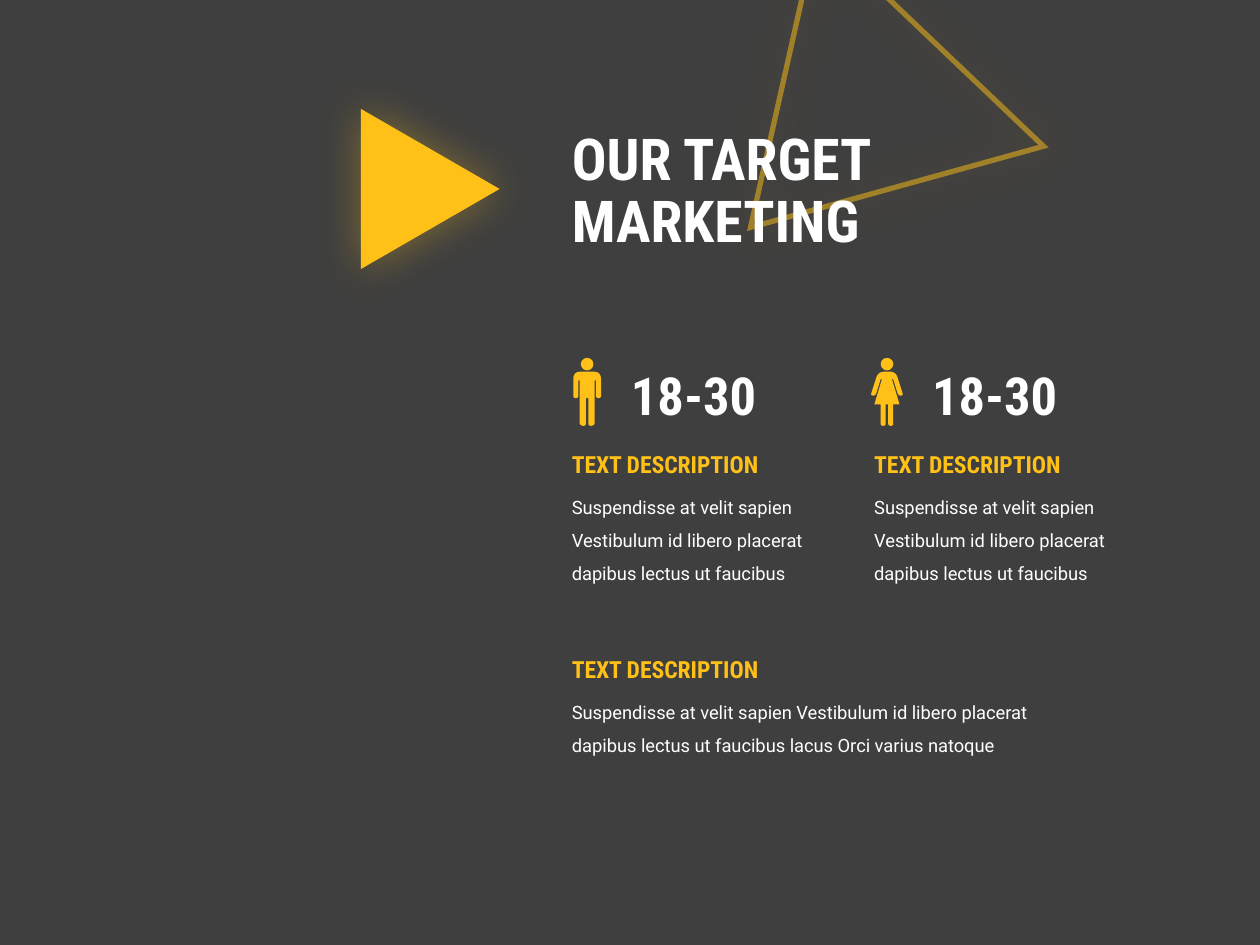
import dataclasses
import typing

import lxml.etree
import pptx
import pptx.dml.color
import pptx.enum.shapes
import pptx.enum.text
import pptx.oxml.ns
import pptx.util

Inches = pptx.util.Inches
Pt = pptx.util.Pt
qn = pptx.oxml.ns.qn
MSO_SHAPE = pptx.enum.shapes.MSO_SHAPE

COLOURS = {"background": "3F3F3F", "accent": "FFC118", "text": "FFFFFF"}
HEADING_FONT = "Roboto Condensed"
BODY_FONT = "Roboto"
CURVE_STEPS = 6
BODY_TEXT = "Suspendisse at velit sapien Vestibulum id libero placerat dapibus lectus ut faucibus"


class Corner(typing.NamedTuple):
    x: float
    y: float
    radius: float = 0


@dataclasses.dataclass(frozen=True)
class TextStyle:
    size: float
    font: str
    colour: str
    bold: bool = True
    line_spacing: float | None = None


@dataclasses.dataclass(frozen=True)
class Person:
    left: float
    icon_centre: float
    age_left: float
    half_body: tuple[Corner, ...]


TITLE = TextStyle(33, HEADING_FONT, "text", line_spacing=0.9)
AGE = TextStyle(30, HEADING_FONT, "text")
SUBHEADING = TextStyle(13.5, HEADING_FONT, "accent")
BODY = TextStyle(10.5, BODY_FONT, "text", bold=False, line_spacing=1.5)

MAN = (
    Corner(0.11, 0, 0.06), Corner(0.11, 0.21, 0.02), Corner(0.07, 0.21, 0.02),
    Corner(0.07, 0.07), Corner(0.06, 0.07), Corner(0.06, 0.43, 0.03),
    Corner(0.01, 0.43, 0.02), Corner(0.01, 0.21),
)
WOMAN = (
    Corner(0.07, 0, 0.05), Corner(0.13, 0.19, 0.02), Corner(0.09, 0.19, 0.02),
    Corner(0.05, 0.06), Corner(0.04, 0.06), Corner(0.1, 0.26),
    Corner(0.05, 0.26), Corner(0.05, 0.43, 0.02), Corner(0.01, 0.43, 0.02),
    Corner(0.01, 0.26),
)
PEOPLE = (
    Person(4.44, 4.66, 4.91, MAN),
    Person(6.84, 7.04, 7.3, WOMAN),
)


def rgb(name: str) -> pptx.dml.color.RGBColor:
    """Return the named colour."""
    return pptx.dml.color.RGBColor.from_string(COLOURS[name])


def fill_plain(shape) -> None:
    """Fill a shape with the accent colour, without line or shadow."""
    shape.shadow.inherit = False
    shape.fill.solid()
    shape.fill.fore_color.rgb = rgb("accent")
    shape.line.fill.background()


def add_alpha(colour_element, percent: int) -> None:
    """Make a colour element partly transparent."""
    lxml.etree.SubElement(colour_element, qn("a:alpha"), val=str(percent * 1000))


def add_glow(shape) -> None:
    """Give a shape a soft accent shadow on all sides."""
    effects = shape._element.spPr.find(qn("a:effectLst"))
    shadow = lxml.etree.SubElement(
        effects, qn("a:outerShdw"), blurRad=str(Pt(25)), dist="0", dir="0",
        algn="ctr", rotWithShape="0",
    )
    colour = lxml.etree.SubElement(shadow, qn("a:srgbClr"), val=COLOURS["accent"])
    add_alpha(colour, 35)


def add_triangle(slide, left: float, top: float, width: float, height: float,
                 rotation: float, outlined: bool = False) -> None:
    """Draw a glowing triangle, solid or outlined."""
    shape = slide.shapes.add_shape(
        MSO_SHAPE.ISOSCELES_TRIANGLE, Inches(left), Inches(top), Inches(width), Inches(height))
    shape.rotation = rotation
    fill_plain(shape)
    if outlined:
        shape.fill.background()
        shape.line.width = Pt(3)
        shape.line.color.rgb = rgb("accent")
        line = shape._element.spPr.find(qn("a:ln"))
        add_alpha(line.find(".//" + qn("a:srgbClr")), 50)
        lxml.etree.SubElement(line, qn("a:miter"), lim="800000")
    add_glow(shape)


def add_text(slide, left: float, top: float, width: float, height: float,
             lines: tuple[str, ...], style: TextStyle, grow: bool = True) -> None:
    """Add a wrapped text box holding one paragraph."""
    box = slide.shapes.add_textbox(Inches(left), Inches(top), Inches(width), Inches(height))
    frame = box.text_frame
    frame.word_wrap = True
    if grow:
        frame.auto_size = pptx.enum.text.MSO_AUTO_SIZE.SHAPE_TO_FIT_TEXT
    else:
        frame.vertical_anchor = pptx.enum.text.MSO_ANCHOR.MIDDLE
    paragraph = frame.paragraphs[0]
    if style.line_spacing:
        paragraph.line_spacing = style.line_spacing
    for index, line in enumerate(lines):
        if index:
            paragraph.add_line_break()
        run = paragraph.add_run()
        run.text = line
        run.font.size = Pt(style.size)
        run.font.name = style.font
        run.font.bold = style.bold
        run.font.color.rgb = rgb(style.colour)


def toward(start: Corner, end: Corner, distance: float) -> tuple[float, float]:
    """Return the point at a distance from start in the direction of end."""
    length = ((end.x - start.x) ** 2 + (end.y - start.y) ** 2) ** 0.5
    share = distance / length
    return start.x + (end.x - start.x) * share, start.y + (end.y - start.y) * share


def round_corners(corners: list[Corner]) -> list[tuple[float, float]]:
    """Turn corners into outline points, with curves where a radius is set."""
    points = []
    for index, corner in enumerate(corners):
        if not corner.radius:
            points.append((corner.x, corner.y))
            continue
        start = toward(corner, corners[index - 1], corner.radius)
        end = toward(corner, corners[(index + 1) % len(corners)], corner.radius)
        for step in range(CURVE_STEPS + 1):
            t = step / CURVE_STEPS
            points.append(tuple(
                (1 - t) ** 2 * a + 2 * t * (1 - t) * b + t ** 2 * c
                for a, b, c in zip(start, (corner.x, corner.y), end)))
    return points


def add_icon(slide, centre: float, half_body: tuple[Corner, ...]) -> None:
    """Draw a figure as a grouped head and mirrored body."""
    group = slide.shapes.add_group_shape()
    head = group.shapes.add_shape(
        MSO_SHAPE.OVAL, Inches(centre - 0.05), Inches(2.84), Inches(0.1), Inches(0.1))
    mirrored = [corner._replace(x=-corner.x) for corner in reversed(half_body)]
    points = [(Inches(centre + x), Inches(2.95 + y))
              for x, y in round_corners([*half_body, *mirrored])]
    builder = group.shapes.build_freeform(*points[0])
    builder.add_line_segments(points[1:], close=True)
    body = builder.convert_to_shape()
    for shape in (head, body):
        fill_plain(shape)


def add_description(slide, left: float, top: float, width: float, height: float,
                    text: str) -> None:
    """Add a subheading with its body text below."""
    add_text(slide, left, top + 0.28, width, height, (text,), BODY)
    add_text(slide, left, top, 1.84, 0.33, ("TEXT DESCRIPTION",), SUBHEADING)


def main() -> None:
    """Build the target marketing slide."""
    presentation = pptx.Presentation()
    presentation.slide_width = Inches(10)
    presentation.slide_height = Inches(7.5)
    slide = presentation.slides.add_slide(presentation.slide_layouts[6])
    slide.background.fill.solid()
    slide.background.fill.fore_color.rgb = rgb("background")

    add_triangle(slide, 5.43, 0.02, 2.48, 2.07, 223.6, outlined=True)
    add_text(slide, 4.44, 0.74, 4.22, 1.58, ("OUR TARGET", "MARKETING"), TITLE, grow=False)
    add_triangle(slide, 2.78, 0.95, 1.27, 1.1, 90)
    for person in PEOPLE:
        add_icon(slide, person.icon_centre, person.half_body)
        add_description(slide, person.left, 3.52, 2.14, 0.87, BODY_TEXT)
        add_text(slide, person.age_left, 2.83, 1.34, 0.61, ("18-30",), AGE)
    add_description(slide, 4.44, 5.15, 3.85, 0.6, BODY_TEXT + " lacus Orci varius natoque")
    presentation.save("out.pptx")


if __name__ == "__main__":
    main()
